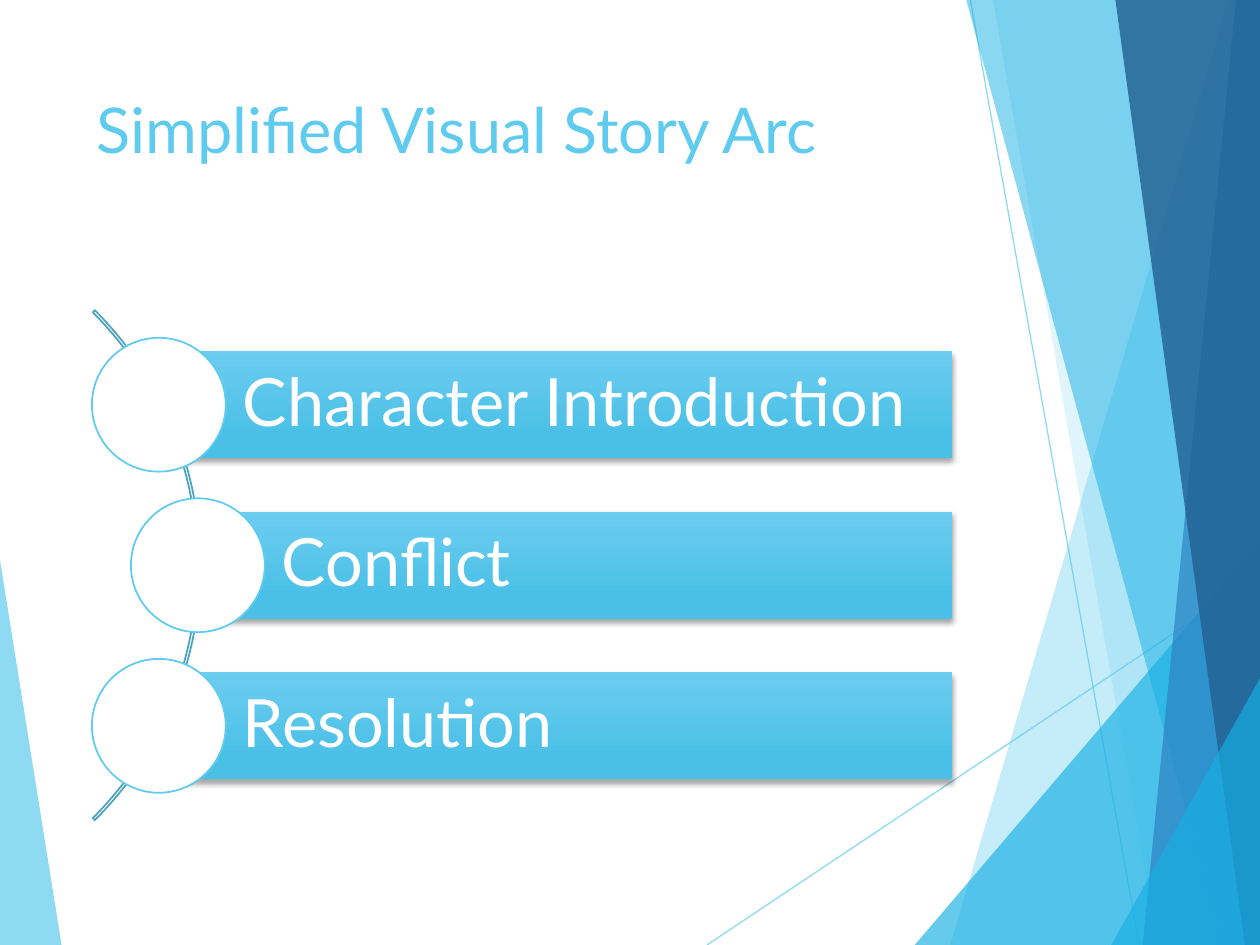
from lxml import etree
from pptx import Presentation
from pptx.dml.color import RGBColor
from pptx.enum.shapes import MSO_CONNECTOR, MSO_SHAPE
from pptx.enum.text import MSO_ANCHOR, PP_ALIGN
from pptx.oxml.ns import qn
from pptx.util import Pt

STRAIGHT = MSO_CONNECTOR.STRAIGHT
ARC, BAR, DOT = MSO_SHAPE.BLOCK_ARC, MSO_SHAPE.RECTANGLE, MSO_SHAPE.OVAL
TOP, MIDDLE, LEFT = MSO_ANCHOR.TOP, MSO_ANCHOR.MIDDLE, PP_ALIGN.LEFT

WIDTH, HEIGHT = 720, 540
FONT, SKY, WHITE = "Lato", "5FCBEF", "FFFFFF"
STAGES = ["Character Introduction", "Conflict", "Resolution"]
TITLE_FORMAT = {"vertical_anchor": TOP, "word_wrap": True}
BAR_FORMAT = {"vertical_anchor": MIDDLE, "word_wrap": True, "margin_left": Pt(48),
              "margin_right": Pt(8), "margin_top": Pt(8), "margin_bottom": Pt(8)}
RAYS = [((404, 540), (720, 329)), ((554.5, 0), (651, 540))]
LEFT_FACET = ([(0, 320), (35.2, 540), (0, 540)], SKY, 70)
RIGHT_FACETS = [
    ([(702, 0), (543, 540), (720, 540), (720, 0)], SKY, 36),
    ([(567.4, 0), (661.7, 540), (720, 540), (720, 0)], SKY, 20),
    ([(522.7, 540), (720, 309), (720, 540)], "17B0E4", 66),
    ([(552.2, 0), (698.4, 540), (720, 540), (720, 0)], "17B0E4", 50),
    ([(706.3, 0), (653, 540), (720, 540), (720, 0)], "2E83C3", 70),
    ([(637.4, 0), (711.4, 540), (720, 540), (720, 0)], "226292", 82),
    ([(635, 540), (720, 387.5), (720, 540)], "17B0E4", 66),
]


def color(hex_value):
    """Turn a hex string into a colour."""
    return RGBColor.from_string(hex_value)


def apply_format(target, values):
    """Set every attribute in a dict of format values."""
    for name, value in values.items():
        setattr(target, name, value)


def set_alpha(properties, percent):
    """Make the solid colour inside the given properties translucent."""
    rgb = properties.find(".//" + qn("a:srgbClr"))
    etree.SubElement(rgb, qn("a:alpha"), val=str(percent * 1000))


def set_text(frame, text, size, hex_value, frame_format):
    """Write one left-aligned line into a text frame."""
    apply_format(frame, frame_format)
    frame.text = text
    line = frame.paragraphs[0]
    line.alignment = LEFT
    apply_format(line.font, {"name": FONT, "size": Pt(size)})
    line.font.color.rgb = color(hex_value)
    return line


def add_facet(slide, points, hex_value, percent):
    """Draw a translucent polygon."""
    corners = [(Pt(x), Pt(y)) for x, y in points]
    builder = slide.shapes.build_freeform(*corners[0])
    builder.add_line_segments(corners[1:], close=True)
    facet = builder.convert_to_shape()
    facet.shadow.inherit = False
    facet.fill.solid()
    facet.fill.fore_color.rgb = color(hex_value)
    set_alpha(facet._element.spPr, percent)
    facet.line.fill.background()


def add_ray(slide, start, end):
    """Draw a thin translucent line."""
    ray = slide.shapes.add_connector(STRAIGHT, *map(Pt, start + end))
    ray.line.width = Pt(0.75)
    ray.line.color.rgb = color(SKY)
    properties = ray._element.spPr
    set_alpha(properties, 70)
    etree.SubElement(properties, qn("a:effectLst"))


def add_backdrop(slide):
    """Draw the facets and rays along the slide edges."""
    add_facet(slide, *LEFT_FACET)
    for start, end in RAYS:
        add_ray(slide, start, end)
    for facet in RIGHT_FACETS:
        add_facet(slide, *facet)


def add_title(slide, text, left, top, width, height):
    """Place and format the title placeholder."""
    title = slide.shapes.title
    apply_format(title, {"left": Pt(left), "top": Pt(top),
                         "width": Pt(width), "height": Pt(height)})
    set_text(title.text_frame, text, 36, SKY, TITLE_FORMAT)


def add_outlined(slide, kind, left, top, size, line_hex):
    """Draw a square-boxed shape with a thin outline."""
    shape = slide.shapes.add_shape(kind, Pt(left), Pt(top), Pt(size), Pt(size))
    shape.shadow.inherit = False
    shape.line.width = Pt(1)
    shape.line.color.rgb = color(line_hex)
    return shape


def add_arc(slide, right, middle, size):
    """Draw the thin arc that links the stages."""
    arc = add_outlined(slide, ARC, right - size, middle - size / 2, size, "4CA3BF")
    arc.fill.background()
    for index, value in enumerate((189, 27, 0.004)):
        arc.adjustments[index] = value


def add_bar(slide, text, left, top, width, height):
    """Draw a shaded bar with its stage name."""
    bar = slide.shapes.add_shape(BAR, Pt(left), Pt(top), Pt(width), Pt(height))
    bar.line.fill.background()
    bar.fill.gradient()
    bar.fill.gradient_angle = 270
    stops = [(0, "6CCDF0"), (0.78, "4BC0E6")]
    for stop, (position, hex_value) in zip(bar.fill.gradient_stops, stops):
        stop.position = position
        stop.color.rgb = color(hex_value)
    bar.shadow.inherit = False
    effects = bar._element.spPr.find(qn("a:effectLst"))
    shadow = etree.SubElement(effects, qn("a:outerShdw"), blurRad=str(Pt(3)),
                              dist=str(Pt(2)), dir="5400000", rotWithShape="0")
    tone = etree.SubElement(shadow, qn("a:srgbClr"), val="000000")
    etree.SubElement(tone, qn("a:alpha"), val="35000")
    set_text(bar.text_frame, text, 38, WHITE, BAR_FORMAT).line_spacing = 0.9


def add_story_arc(slide, stages, left, top, width, height):
    """Lay out the stages along an arc, the middle one pushed inwards."""
    dot_size, indent = 76.5, 22.3
    radius, bar_height = dot_size / 2, dot_size * 0.8
    pitch = (height - dot_size) / (len(stages) - 1)
    add_arc(slide, left + indent + radius + 1.5, top + height / 2, 412)
    for index, stage in enumerate(stages):
        dot_left = left + indent * (index % 2)
        dot_top = top + pitch * index
        bar_left = dot_left + radius
        add_bar(slide, stage, bar_left, dot_top + (dot_size - bar_height) / 2,
                left + width - bar_left, bar_height)
        dot = add_outlined(slide, DOT, dot_left, dot_top, dot_size, SKY)
        dot.fill.solid()
        dot.fill.fore_color.rgb = color(WHITE)


def main():
    """Build and save the slide."""
    deck = Presentation()
    apply_format(deck, {"slide_width": Pt(WIDTH), "slide_height": Pt(HEIGHT)})
    slide = deck.slides.add_slide(deck.slide_layouts[5])
    add_backdrop(slide)
    add_title(slide, "Simplified Visual Story Arc", 48, 48, 500, 104)
    add_story_arc(slide, STAGES, 52.5, 193, 491.5, 260)
    deck.save("out.pptx")


if __name__ == "__main__":
    main()
